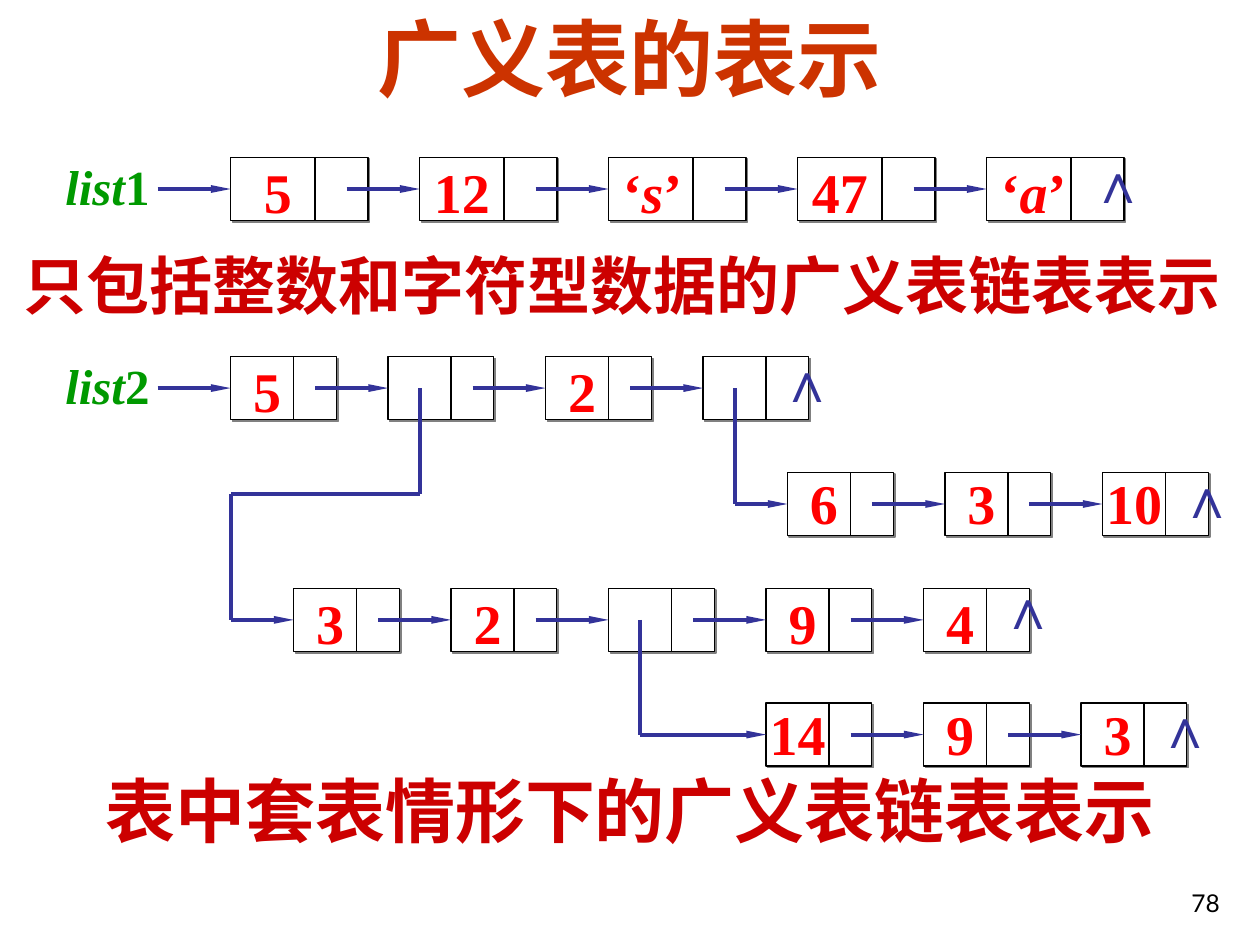
from dataclasses import dataclass

import pptx
import pptx.dml.color
import pptx.enum.shapes
import pptx.enum.text
import pptx.oxml.ns
import pptx.util
from lxml import etree
from pptx.util import Inches

ALIGN = pptx.enum.text.PP_ALIGN
SERIF, CJK = "Times New Roman", "Noto Sans CJK SC"
BLUE, RED, CRIMSON, GREEN, BLACK = "333399", "FF0000", "CC0000", "009900", "000000"
NODE_HEIGHT = 0.5
POINTER_INSET = 0.17


@dataclass
class Run:
    text: str
    size: float
    color: str
    font: str = SERIF
    bold: bool = True
    italic: bool = False


@dataclass
class Chain:
    """A row of linked nodes, each with a data cell and a pointer cell."""
    left: float
    top: float
    values: list[str]
    node_width: float = 0.84
    data_width: float = 0.5
    pitch: float = 1.25
    value_rise: float = 0.05
    nil_rise: float = 0.13
    nil_gap: float = 0.01

    def node_left(self, i: int) -> float:
        return self.left + i * self.pitch

    def data_center(self, i: int) -> float:
        return self.node_left(i) + self.data_width / 2

    @property
    def middle(self) -> float:
        return self.top + NODE_HEIGHT / 2


def rgb(color: str) -> pptx.dml.color.RGBColor:
    return pptx.dml.color.RGBColor.from_string(color)


def add_child(parent, tag: str, **attributes: str):
    child = etree.SubElement(parent, pptx.oxml.ns.qn(tag))
    for key, value in attributes.items():
        child.set(key, value)
    return child


def add_text(slide, left: float, top: float, width: float, height: float,
             runs: list[Run], align=ALIGN.LEFT, wrap: bool = False, grow: bool = True):
    box = slide.shapes.add_textbox(Inches(left), Inches(top), Inches(width), Inches(height))
    frame = box.text_frame
    frame.word_wrap = wrap
    sizing = pptx.enum.text.MSO_AUTO_SIZE
    frame.auto_size = sizing.SHAPE_TO_FIT_TEXT if grow else sizing.NONE
    paragraph = frame.paragraphs[0]
    paragraph.alignment = align
    for item in runs:
        run = paragraph.add_run()
        run.text = item.text
        font = run.font
        font.size = pptx.util.Pt(item.size)
        font.bold, font.italic = item.bold, item.italic
        font.color.rgb = rgb(item.color)
        font.name = item.font
        add_child(run._r.get_or_add_rPr(), "a:ea", typeface=item.font)
    return box


def add_line(slide, start: tuple[float, float], end: tuple[float, float],
             color: str = BLUE, width: float = 2.25, arrow: bool = False, target=None):
    line = slide.shapes.add_connector(
        pptx.enum.shapes.MSO_CONNECTOR.STRAIGHT, *(Inches(v) for v in (*start, *end)))
    if target is not None:
        line.end_connect(target, 1)
    line.line.color.rgb = rgb(color)
    line.line.width = pptx.util.Pt(width)
    if arrow:
        add_child(line.line._get_or_add_ln(), "a:tailEnd", type="triangle", w="sm", len="lg")
    add_child(line._element.spPr, "a:effectLst")


def add_node(slide, chain: Chain, i: int):
    left, bottom = chain.node_left(i), chain.top + NODE_HEIGHT
    node = slide.shapes.add_shape(
        pptx.enum.shapes.MSO_SHAPE.RECTANGLE, Inches(left), Inches(chain.top),
        Inches(chain.node_width), Inches(NODE_HEIGHT))
    node.fill.solid()
    node.fill.fore_color.rgb = rgb("FFFFFF")
    node.line.color.rgb = rgb(BLACK)
    node.line.width = pptx.util.Pt(0.75)
    # Hard grey shadow towards the lower right
    node.shadow.inherit = False
    effects = node._element.spPr.find(pptx.oxml.ns.qn("a:effectLst"))
    shadow = add_child(effects, "a:outerShdw", blurRad="0", dist="17780",
                       dir="2700000", algn="ctr", rotWithShape="0")
    add_child(shadow, "a:srgbClr", val="808080")
    divider = left + chain.data_width
    add_line(slide, (divider, chain.top), (divider, bottom), BLACK, 0.75)
    return node


def add_value(slide, chain: Chain, i: int) -> None:
    value = chain.values[i]
    width, shift = {1: (0.42, 0.04), 2: (0.68, 0.02), 3: (0.78, 0.07)}[len(value)]
    runs = [Run(value, 32, RED)]
    if len(value) == 3:  # quoted character: only the letter is italic
        runs = [Run(c, 32, RED, italic=c.isalpha()) for c in value]
    add_text(slide, chain.data_center(i) - width / 2 + shift,
             chain.top - chain.value_rise, width, 0.64, runs)


def add_chain(slide, chain: Chain):
    """Draw the whole row and return its first node."""
    nodes = []
    for i, value in enumerate(chain.values):
        nodes.append(add_node(slide, chain, i))
        if i:
            start = chain.node_left(i - 1) + chain.node_width - POINTER_INSET
            add_line(slide, (start, chain.middle), (chain.node_left(i), chain.middle),
                     arrow=True, target=nodes[i])
        if value:
            add_value(slide, chain, i)
    last_divider = chain.node_left(len(nodes) - 1) + chain.data_width
    add_text(slide, last_divider + chain.nil_gap, chain.top - chain.nil_rise, 0.35, 0.64,
             [Run("∧", 32, BLUE, "Arial")])
    return nodes[0]


def add_head(slide, chain: Chain, number: str, first_node) -> None:
    add_text(slide, 0.42, chain.top - 0.06, 0.87, 0.57,
             [Run("list", 28, GREEN, italic=True), Run(number, 28, GREEN)])
    add_line(slide, (1.25, chain.middle), (chain.left, chain.middle),
             arrow=True, target=first_node)


def add_branch(slide, points: list[tuple[float, float]], target) -> None:
    for start, end in zip(points, points[1:]):
        last = end == points[-1]
        add_line(slide, start, end, arrow=last, target=target if last else None)


def main() -> None:
    deck = pptx.Presentation()
    deck.slide_width, deck.slide_height = Inches(10), Inches(7.5)
    slide = deck.slides.add_slide(deck.slide_layouts[6])

    # Title and captions
    for top, width, height, text, size, color in (
            (0, 10, 0.9, "广义表的表示", 48, "CC3300"),
            (1.91, 9.88, 0.77, "只包括整数和字符型数据的广义表链表表示", 36, CRIMSON),
            (6.04, 10, 0.77, "表中套表情形下的广义表链表表示", 40, CRIMSON)):
        add_text(slide, 0, top, width, height, [Run(text, size, color, CJK)],
                 ALIGN.CENTER, wrap=True)

    # Linked lists; an empty value points to a sublist
    list1 = Chain(1.83, 1.25, ["5", "12", "‘s’", "47", "‘a’"], node_width=1.09,
                  data_width=0.67, pitch=1.5, nil_gap=0.06)
    list2 = Chain(1.83, 2.83, ["5", "", "2", ""])
    right_sublist = Chain(6.25, 3.75, ["6", "3", "10"], value_rise=0.08)
    left_sublist = Chain(2.33, 4.67, ["3", "2", "", "9", "4"], nil_rise=0.17)
    inner_sublist = Chain(6.08, 5.58, ["14", "9", "3"], value_rise=0.08)
    add_head(slide, list1, "1", add_chain(slide, list1))
    add_head(slide, list2, "2", add_chain(slide, list2))
    right_first, left_first, inner_first = (
        add_chain(slide, chain) for chain in (right_sublist, left_sublist, inner_sublist))

    # Branches from data cells down to sublists
    for parent, i, child, first in ((list2, 3, right_sublist, right_first),
                                    (left_sublist, 2, inner_sublist, inner_first)):
        x = parent.data_center(i)
        add_branch(slide, [(x, parent.middle), (x, child.middle),
                           (child.left, child.middle)], first)
    x, turn = list2.data_center(1), 3.92
    add_branch(slide, [(x, list2.middle), (x, turn), (list2.left, turn),
                       (list2.left, left_sublist.middle),
                       (left_sublist.left, left_sublist.middle)], left_first)

    # Page number
    page_number = add_text(slide, 7.7, 7.02, 2.08, 0.31,
                           [Run("78", 14, BLACK, "Lato", bold=False)],
                           ALIGN.RIGHT, wrap=True, grow=False)
    page_number.text_frame.vertical_anchor = pptx.enum.text.MSO_ANCHOR.BOTTOM

    deck.save("out.pptx")


if __name__ == "__main__":
    main()
